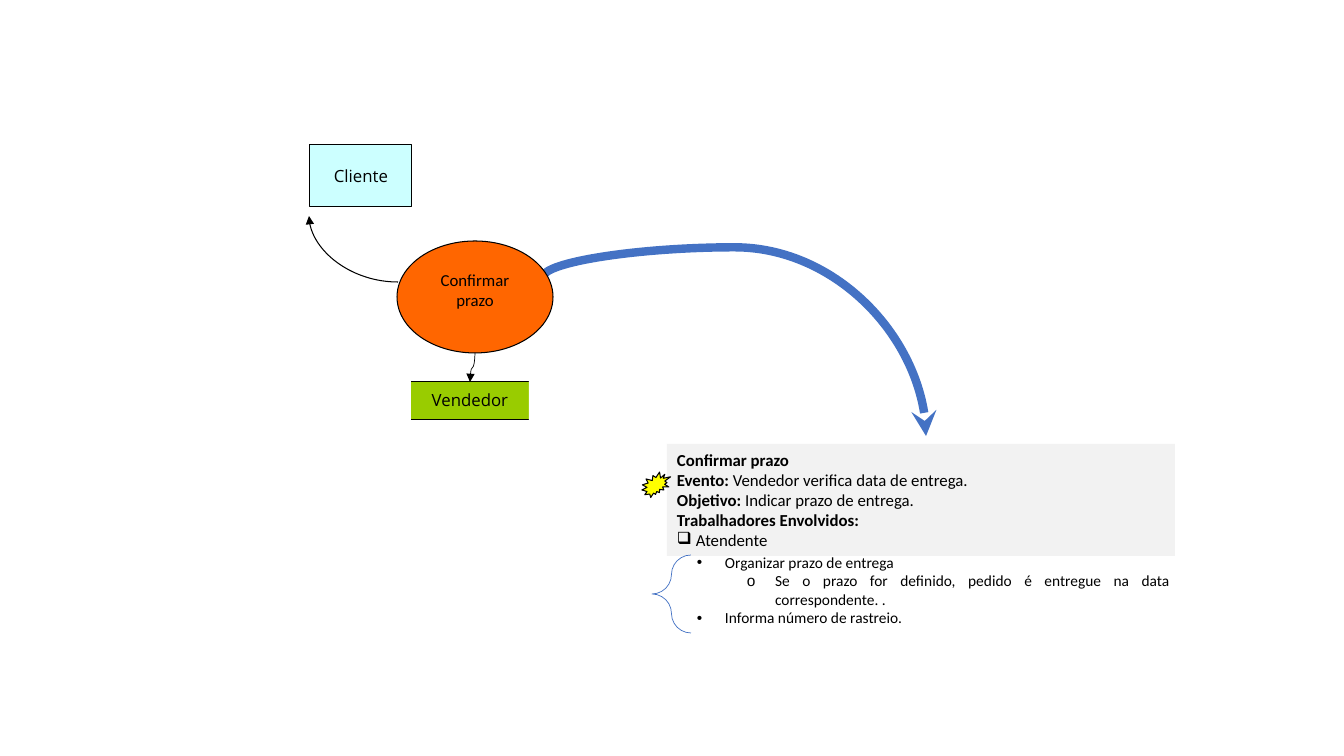
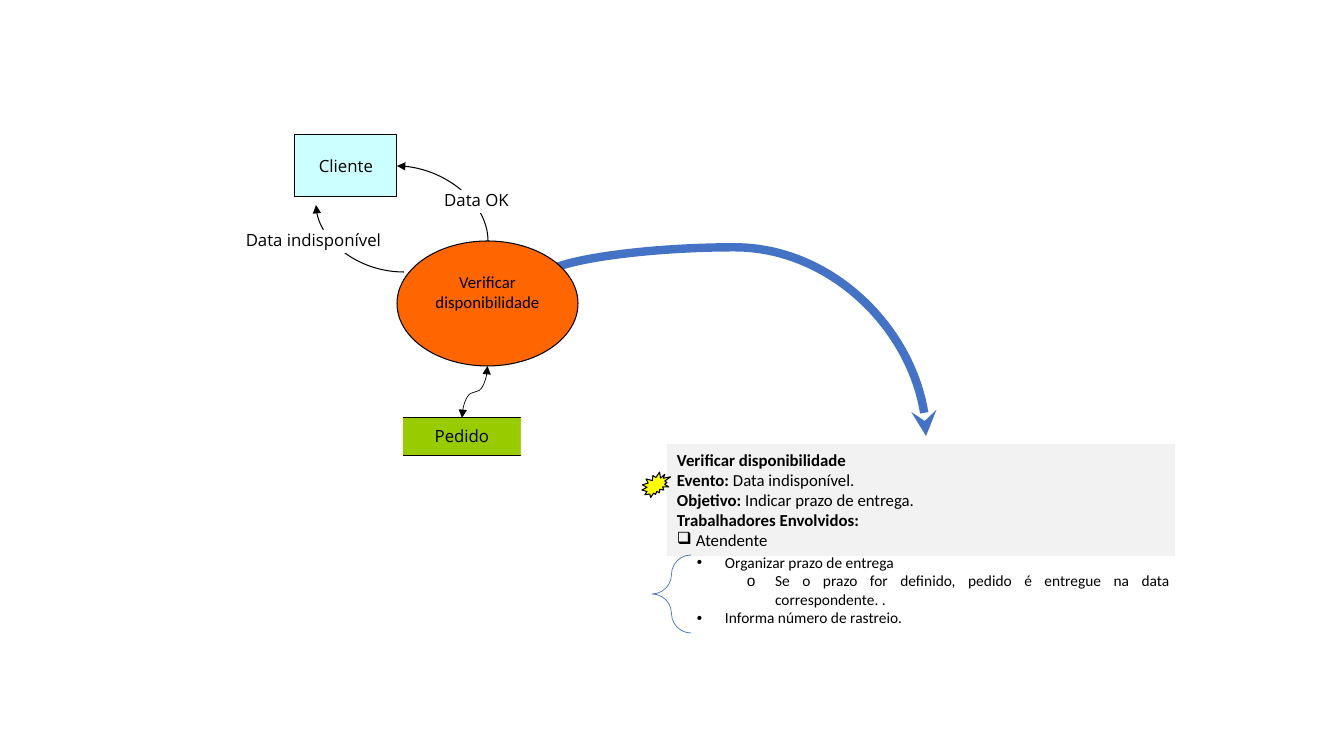
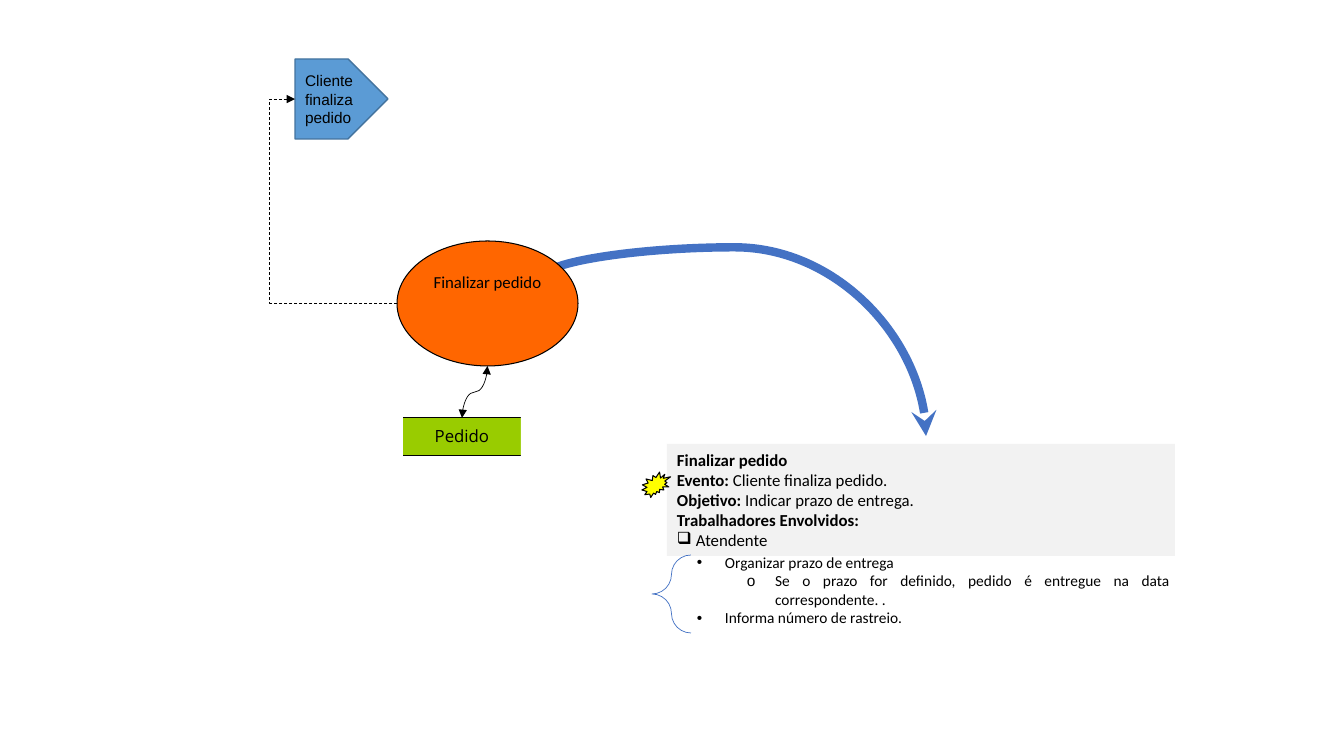
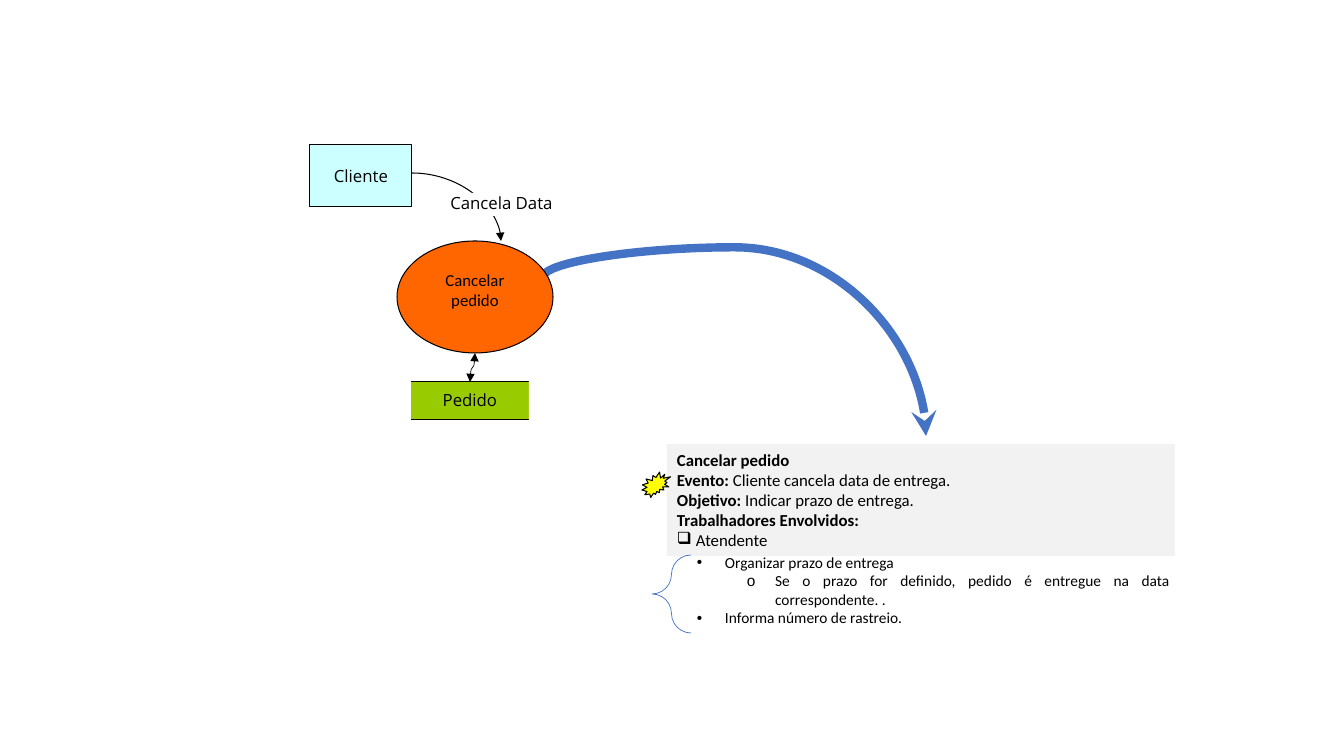
from lxml.etree import SubElement
from pptx import Presentation
from pptx.dml.color import RGBColor
from pptx.enum.dml import MSO_LINE
from pptx.enum.shapes import MSO_CONNECTOR, MSO_SHAPE
from pptx.enum.text import MSO_ANCHOR, MSO_AUTO_SIZE, PP_ALIGN
from pptx.oxml.ns import qn
from pptx.util import Pt

# Shared scale, colours and fonts
SCALE = 914400 / 100.8
BLACK, WHITE, GREY = "000000", "FFFFFF", "F2F2F2"
BLUE, SKY, EDGE = "4472C4", "5B9BD5", "43739E"
CYAN, ORANGE, GREEN, YELLOW = "CCFFFF", "FF6600", "99CC00", "FFFF00"
BODY, LABEL, PLAIN = "Calibri", "Open Sans", "Arial"

# Shared places: left, top, width, height
PANEL = (667, 444, 508, 112)
STEPS = (666, 548, 514, 85)
SMALL = {"task": (397, 241, 156, 112), "store": (409, 382, 122, 38)}
LARGE = {"task": (397, 241, 181, 125), "store": (401, 418, 122, 38)}


def px(n):
    return round(n * SCALE)


def color(text):
    return RGBColor.from_string(text)


def write(para, text, size, font, bold=False):
    run = para.add_run()
    run.text = text
    run.font.size, run.font.name, run.font.bold = Pt(size), font, bold
    run.font.color.rgb = color(BLACK)


def setup(frame, insets=(10, 5, 10, 5), anchor=MSO_ANCHOR.TOP):
    frame.word_wrap = True
    frame.auto_size = MSO_AUTO_SIZE.NONE
    frame.vertical_anchor = anchor
    (frame.margin_left, frame.margin_top,
     frame.margin_right, frame.margin_bottom) = map(px, insets)


def bullet(para, mark, left, hang):
    props = para._p.get_or_add_pPr()
    props.set("marL", str(px(left)))
    props.set("indent", str(-px(hang)))
    SubElement(props, qn("a:buChar")).set("char", mark)


def draw(slide, kind, box, fill=None, edge=None, width=0.75):
    shape = slide.shapes.add_shape(kind, *map(px, box))
    shape.shadow.inherit = False
    if fill:
        shape.fill.solid()
        shape.fill.fore_color.rgb = color(fill)
    else:
        shape.fill.background()
    if edge:
        shape.line.color.rgb = color(edge)
        shape.line.width = Pt(width)
    else:
        shape.line.fill.background()
    return shape


def caption(shape, text, insets, font=LABEL, size=12,
            align=PP_ALIGN.CENTER, anchor=MSO_ANCHOR.TOP, before=0):
    setup(shape.text_frame, insets, anchor)
    para = shape.text_frame.paragraphs[0]
    para.alignment = align
    para.space_before = Pt(before)
    write(para, text, size, font)


def link(slide, start, end, kind, turn=0, flip=None, bend=None, ink=BLACK,
         width=0.75, dash=False, head=None, tail="triangle"):
    (x1, y1), (x2, y2) = start, end
    wide, high = abs(x2 - x1), abs(y2 - y1)
    if turn % 180:
        wide, high = high, wide
    left, top = (x1 + x2 - wide) / 2, (y1 + y2 - high) / 2
    line = slide.shapes.add_connector(
        MSO_CONNECTOR.CURVE, px(left), px(top), px(left + wide), px(top + high))
    line.line.color.rgb = color(ink)
    line.line.width = Pt(width)
    if dash:
        line.line.dash_style = MSO_LINE.DASH

    # Route, arrowheads and no shadow
    props = line.element.spPr
    frame = props.find(qn("a:xfrm"))
    frame.set("rot", str(turn * 60000))
    if flip:
        frame.set(flip, "1")
    route = props.find(qn("a:prstGeom"))
    route.set("prst", kind)
    if bend is not None:
        guide = SubElement(route.find(qn("a:avLst")), qn("a:gd"))
        guide.set("name", "adj1")
        guide.set("fmla", f"val {bend}")
    stroke = props.find(qn("a:ln"))
    for tag, tip in (("a:headEnd", head), ("a:tailEnd", tail)):
        if tip:
            SubElement(stroke, qn(tag)).set("type", tip)
    SubElement(props, qn("a:effectLst"))


def panel(slide, box, name, event):
    """Grey summary with its event burst."""
    x, y, w, h = box
    frame = draw(slide, MSO_SHAPE.RECTANGLE, box, GREY).text_frame
    setup(frame, anchor=MSO_ANCHOR.MIDDLE)
    rows = [(name, ""), ("Evento:", " " + event),
            ("Objetivo:", " Indicar prazo de entrega."),
            ("Trabalhadores Envolvidos:", ""), ("", "Atendente")]
    for i, (strong, plain) in enumerate(rows):
        para = frame.add_paragraph() if i else frame.paragraphs[0]
        para.alignment = PP_ALIGN.JUSTIFY
        if strong:
            write(para, strong, 12, BODY, True)
        else:
            bullet(para, "\u2751", 19, 19)
        if plain:
            write(para, plain, 12, BODY)
    burst = draw(slide, MSO_SHAPE.EXPLOSION2, (x - 26, y + 29, 31, 23),
                 YELLOW, BLACK)
    burst.rotation = 347.5


def steps(slide, box):
    """Bulleted steps with a brace at their left."""
    x, y, w, h = box
    body = slide.placeholders[1]
    body.left, body.top, body.width, body.height = map(px, box)
    frame = body.text_frame
    setup(frame)
    rows = [(1, "Organizar prazo de entrega"),
            (2, "Se o prazo for definido, pedido é entregue na data "
                "correspondente. ."),
            (1, "Informa número de rastreio.")]
    for i, (level, text) in enumerate(rows):
        para = frame.add_paragraph() if i else frame.paragraphs[0]
        para.level = level
        para.alignment = PP_ALIGN.JUSTIFY
        para.space_before = Pt(0)
        bullet(para, " •o"[level], 50 * level - 1, 28)
        write(para, text, 11, BODY)
    brace = draw(slide, MSO_SHAPE.LEFT_BRACE, (x - 14, y + 7, 39, h - 7),
                 edge=BLUE, width=0.5)
    brace.adjustments[0], brace.adjustments[1] = 0.52, 0.5


def client(slide, x, y):
    shape = draw(slide, MSO_SHAPE.RECTANGLE, (x, y, 102, 62), CYAN, BLACK)
    caption(shape, "Cliente", (10, 4, 10, 5), anchor=MSO_ANCHOR.MIDDLE)


def task(slide, box, name):
    """Process ellipse and the thick arrow to its summary."""
    link(slide, (543, 277), (926, 436), "curvedConnector3", 270, "flipH",
         -18700, BLUE, 6, tail="stealth")
    shape = draw(slide, MSO_SHAPE.OVAL, box, ORANGE, BLACK)
    caption(shape, name, (9, 12, 9, 5), BODY, before=2.4)


def store(slide, box, name):
    """Data store, open at both sides."""
    x, y, w, h = box
    shape = draw(slide, MSO_SHAPE.RECTANGLE, box, GREEN, BLACK)
    caption(shape, name, (10, 8, 10, 5))
    for left in (x - 18, x + w - 2):
        draw(slide, MSO_SHAPE.RECTANGLE, (left, y - 4, 20, h + 7), WHITE)


def flow(slide, start, end, text=None, spot=None, turn=0, flip=None):
    """Quarter curve, with its label on top if there is one."""
    link(slide, start, end, "curvedConnector2", turn, flip)
    if text:
        shape = draw(slide, MSO_SHAPE.RECTANGLE, (*spot, 151, 23), WHITE)
        caption(shape, text, (0, 0, 0, 0))


def scene(deck, plan, name, event, data, head="triangle"):
    """Parts that every slide shares."""
    slide = deck.slides.add_slide(deck.slide_layouts[1])
    title = slide.shapes.title.element
    title.getparent().remove(title)
    panel(slide, PANEL, name, event)
    steps(slide, STEPS)
    task(slide, plan["task"], name)
    store(slide, plan["store"], data)
    x, y, w, h = plan["task"]
    left, top, wide, _ = plan["store"]
    link(slide, (x + w / 2, y + h), (left + wide / 2, top),
         "curvedConnector3", 90, width=0.5, head=head)
    return slide


def confirm(deck):
    slide = scene(deck, SMALL, "Confirmar prazo",
                  "Vendedor verifica data de entrega.", "Vendedor", None)
    client(slide, 310, 145)
    flow(slide, (398, 282), (309, 216), turn=180)


def check(deck):
    slide = scene(deck, LARGE, "Verificar disponibilidade",
                  "Data indisponível.", "Pedido")
    flow(slide, (404, 272), (316, 205), "Data indisponível", (238, 230), 180)
    client(slide, 295, 135)
    flow(slide, (488, 241), (397, 166), "Data OK", (401, 190), 270, "flipV")


def finish(deck):
    slide = scene(deck, LARGE, "Finalizar pedido",
                  "Cliente finaliza pedido.", "Pedido")
    shape = draw(slide, MSO_SHAPE.PENTAGON, (295, 59, 93, 80), SKY, EDGE, 1)
    caption(shape, "Cliente finaliza pedido", (10, 5, 0, 5), PLAIN, 11,
            PP_ALIGN.LEFT, MSO_ANCHOR.MIDDLE)
    link(slide, (397, 303), (295, 99), "bentConnector3", 180, bend=124700,
         width=0.5, dash=True)


def cancel(deck):
    slide = scene(deck, SMALL, "Cancelar pedido",
                  "Cliente cancela data de entrega.", "Pedido")
    flow(slide, (412, 173), (501, 241), "Cancela Data", (426, 193))
    client(slide, 310, 145)


deck = Presentation()
deck.slide_width, deck.slide_height = px(1344), px(756)
for build in (confirm, check, finish, cancel):
    build(deck)
deck.save("out.pptx")
